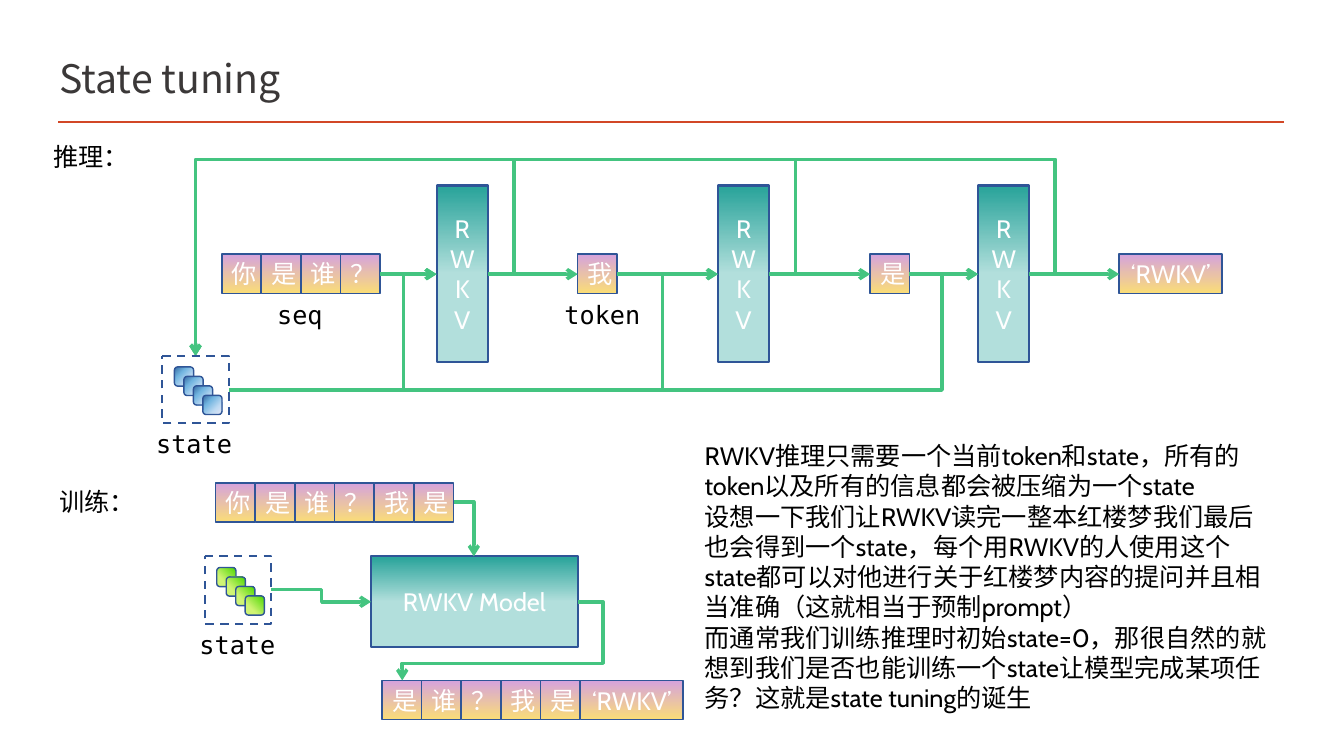
"""Build the State tuning slide: RWKV inference and training diagrams with notes."""
from dataclasses import dataclass

from lxml.etree import SubElement
from pptx import Presentation
from pptx.dml.color import RGBColor
from pptx.enum.dml import MSO_LINE
from pptx.enum.shapes import MSO_CONNECTOR, MSO_SHAPE
from pptx.enum.text import MSO_ANCHOR, PP_ALIGN
from pptx.oxml.ns import qn
from pptx.shapes.autoshape import Shape
from pptx.shapes.shapetree import _BaseGroupShapes
from pptx.slide import Slide
from pptx.util import Inches, Pt

RED = RGBColor(0xD2, 0x47, 0x26)
GREEN = RGBColor(0x44, 0xC4, 0x80)
NAVY = RGBColor(0x2F, 0x55, 0x97)
WHITE = RGBColor(0xFF, 0xFF, 0xFF)
BLACK = RGBColor(0x00, 0x00, 0x00)
DARK_GREY = RGBColor(0x3B, 0x38, 0x38)
PINK = RGBColor(0xD5, 0xA2, 0xDD)
PEACH = RGBColor(0xE8, 0xC0, 0xAA)
YELLOW = RGBColor(0xFA, 0xDD, 0x77)
TEAL = RGBColor(0x2D, 0xA5, 0x9C)
PALE_TEAL = RGBColor(0xB2, 0xDF, 0xDC)
STEEL = RGBColor(0x34, 0x67, 0xA0)
SKY = RGBColor(0x73, 0xB6, 0xE1)
PALE_SKY = RGBColor(0xBF, 0xDB, 0xF3)
MIST = RGBColor(0xE4, 0xE6, 0xF5)
LIME = RGBColor(0xCF, 0xF4, 0x74)
GRASS = RGBColor(0x4D, 0xD8, 0x03)

CABIN, MONO, CJK = "Cabin", "DejaVu Sans Mono", "Noto Sans CJK SC"
CELL, PITCH, WORD_W = 0.39, 0.393, 1.02
MID_Y, LOOP_Y, STATE_Y = 2.72, 1.58, 3.87
MODEL_W = 0.51


@dataclass(frozen=True)
class Gradient:
    stops: tuple[tuple[int, RGBColor], ...]
    angle: int


@dataclass(frozen=True)
class Label:
    text: str
    left: float
    top: float
    width: float
    height: float = 0.4
    font: str = CJK
    size: int = 18
    color: RGBColor = BLACK


@dataclass(frozen=True)
class TokenRow:
    tokens: tuple[str, ...]
    left: float
    top: float


@dataclass(frozen=True)
class Arrow:
    points: tuple[tuple[float, float], ...]


@dataclass(frozen=True)
class State:
    left: float
    top: float
    gradient: Gradient


TOKEN_FILL = Gradient(((0, PINK), (50, PEACH), (100, YELLOW)), 90)
MODEL_FILL = Gradient(((2, TEAL), (50, PALE_TEAL), (100, PALE_TEAL)), 90)
BLUE_FILL = Gradient(((0, STEEL), (34, SKY), (70, PALE_SKY), (100, MIST)), 45)
LIME_FILL = Gradient(((34, LIME), (100, GRASS)), 315)

NOTES = "\n".join((
    "RWKV推理只需要一个当前token和state，所有的token以及所有的信息都会被压缩为一个state",
    "设想一下我们让RWKV读完一整本红楼梦我们最后也会得到一个state，每个用RWKV的人使用这个"
    "state都可以对他进行关于红楼梦内容的提问并且相当准确（这就相当于预制prompt）",
    "而通常我们训练推理时初始state=0，那很自然的就想到我们是否也能训练一个state"
    "让模型完成某项任务？这就是state tuning的诞生",
))
LABELS = (
    Label("State tuning", 0.49, 0.47, 12.26, 0.61, size=28, color=DARK_GREY),
    Label("推理：", 0.43, 1.35, 2.61),
    Label("训练：", 0.49, 4.78, 2.61),
    Label("seq", 2.65, 2.92, 0.79, font=MONO),
    Label("token", 5.5, 2.92, 0.98, font=MONO),
    Label("state", 1.45, 4.2, 0.98, font=MONO),
    Label("state", 1.88, 6.19, 0.98, font=MONO),
    Label(NOTES, 6.89, 4.32, 5.86, 3.43, font=CABIN),
)
ROWS = (
    TokenRow(tuple("你是谁？"), 2.2, 2.52),
    TokenRow(("我",), 5.73, 2.52),
    TokenRow(("是",), 8.63, 2.52),
    TokenRow(("‘RWKV’",), 11.1, 2.52),
    TokenRow(tuple("你是谁？我是"), 2.14, 4.79),
    TokenRow((*"是谁？我是", "‘RWKV’"), 3.79, 6.75),
)
MODEL_LEFTS = (4.33, 7.12, 9.7)
STATES = (State(1.61, 3.53, BLUE_FILL), State(2.03, 5.52, LIME_FILL))
FLOWS = ((3.77, 4.33), (4.84, 5.73), (6.12, 7.12), (7.63, 8.63), (9.02, 9.7), (10.21, 11.1))
STATE_TURNS = (4.0, 6.57, 9.34)
TRAINING_ARROWS = (
    Arrow(((4.5, 4.98), (4.7, 4.98), (4.7, 5.52))),
    Arrow(((2.69, 5.85), (3.19, 5.85), (3.19, 5.97), (3.68, 5.97))),
    Arrow(((5.73, 5.97), (5.98, 5.97), (5.98, 6.58), (3.99, 6.58), (3.99, 6.75))),
)


def write(sp: Shape, text: str, font: str, size: int, color: RGBColor, align: PP_ALIGN) -> None:
    """Fill a shape with wrapped text in one style."""
    tf = sp.text_frame
    tf.text = text
    tf.word_wrap = True
    for p in tf.paragraphs:
        p.alignment = align
        for r in p.runs:
            r.font.size, r.font.name = Pt(size), font
            r.font.color.rgb = color
            SubElement(r.font._element, qn("a:ea")).set("typeface", CJK)


def add_label(s: Slide, label: Label) -> None:
    """Add a plain text box."""
    sp = s.shapes.add_textbox(*map(Inches, (label.left, label.top, label.width, label.height)))
    write(sp, label.text, label.font, label.size, label.color, PP_ALIGN.LEFT)
    sp.text_frame.vertical_anchor = MSO_ANCHOR.MIDDLE if label.size > 18 else MSO_ANCHOR.TOP


def add_box(shapes: _BaseGroupShapes, left: float, top: float, width: float, height: float,
            gradient: Gradient | None, line_pt: float = 1, text: str = "",
            kind: MSO_SHAPE = MSO_SHAPE.RECTANGLE) -> Shape:
    """Add an outlined box, white or with a gradient."""
    sp = shapes.add_shape(kind, *map(Inches, (left, top, width, height)))
    sp.shadow.inherit = False
    sp.line.color.rgb = NAVY
    sp.line.width = Pt(line_pt)
    if gradient is None:
        sp.fill.solid()
        sp.fill.fore_color.rgb = WHITE
    else:
        sp.fill.gradient()
        sp.fill.gradient_angle = 360 - gradient.angle
        gs_lst = sp._element.spPr.find(".//" + qn("a:gsLst"))
        gs_lst.clear()
        for position, color in gradient.stops:
            gs = SubElement(gs_lst, qn("a:gs"), pos=str(position * 1000))
            SubElement(gs, qn("a:srgbClr"), val=str(color))
    if text:
        write(sp, text, CABIN, 18, WHITE, PP_ALIGN.CENTER)
        sp.text_frame.vertical_anchor = MSO_ANCHOR.MIDDLE
    return sp


def add_state(s: Slide, state: State) -> None:
    """Add a dashed frame holding four stepped tiles."""
    shapes = s.shapes.add_group_shape().shapes
    frame = add_box(shapes, state.left, state.top, 0.66, 0.67, None, 1.5,
                    kind=MSO_SHAPE.FLOWCHART_PROCESS)
    frame.line.dash_style = MSO_LINE.DASH
    for i in range(4):
        add_box(shapes, state.left + 0.12 + i * 0.094, state.top + 0.11 + i * 0.094, 0.19, 0.19,
                state.gradient, kind=MSO_SHAPE.ROUNDED_RECTANGLE)


def add_line(s: Slide, arrow: Arrow, color: RGBColor = GREEN, width: float = 2.5,
             head: bool = True) -> None:
    """Add a straight or bent connector through the given points."""
    (x1, y1), *via, (x2, y2) = arrow.points
    kind = MSO_CONNECTOR.ELBOW if via else MSO_CONNECTOR.STRAIGHT
    sp = s.shapes.add_connector(kind, *map(Inches, (x1, y1, x2, y2)))
    sp.line.color.rgb = color
    sp.line.width = Pt(width)
    spPr = sp._element.spPr
    if via:
        geom = spPr.find(qn("a:prstGeom"))
        geom.set("prst", f"bentConnector{len(via) + 1}")
        ratios = [(via[0][0] - x1) / (x2 - x1), (via[-1][1] - y1) / (y2 - y1)]
        for i, ratio in enumerate(ratios[:len(via) - 1], 1):
            SubElement(geom.find(qn("a:avLst")), qn("a:gd"), name=f"adj{i}",
                       fmla=f"val {round(ratio * 100000)}")
    if head:
        SubElement(spPr.find(qn("a:ln")), qn("a:tailEnd"), type="arrow")
    SubElement(spPr, qn("a:effectLst"))


def main() -> None:
    """Draw the slide and save it."""
    prs = Presentation()
    prs.slide_width, prs.slide_height = Inches(13.33), Inches(7.5)
    s = prs.slides.add_slide(prs.slide_layouts[6])
    add_line(s, Arrow(((0.58, 1.21), (12.74, 1.21))), RED, 2, head=False)
    for row in ROWS:
        for i, token in enumerate(row.tokens):
            add_box(s.shapes, row.left + i * PITCH, row.top, CELL if len(token) == 1 else WORD_W,
                    CELL, TOKEN_FILL, text=token)
    for left, turn in zip(MODEL_LEFTS, STATE_TURNS):
        right = left + MODEL_W
        add_box(s.shapes, left, 1.84, MODEL_W, 1.75, MODEL_FILL, 1.5, "RWK\nV")
        add_line(s, Arrow(((right, MID_Y), (right + 0.26, MID_Y), (right + 0.26, LOOP_Y),
                           (1.94, LOOP_Y), (1.94, 3.53))))
        add_line(s, Arrow(((2.27, STATE_Y), (turn, STATE_Y), (turn, MID_Y), (left, MID_Y))))
    add_box(s.shapes, 3.68, 5.52, 2.05, 0.9, MODEL_FILL, 1.5, "RWKV Model")
    for start, end in FLOWS:
        add_line(s, Arrow(((start, MID_Y), (end, MID_Y))))
    for state in STATES:
        add_state(s, state)
    for label in LABELS:
        add_label(s, label)
    for arrow in TRAINING_ARROWS:
        add_line(s, arrow)
    prs.save("out.pptx")


if __name__ == "__main__":
    main()
